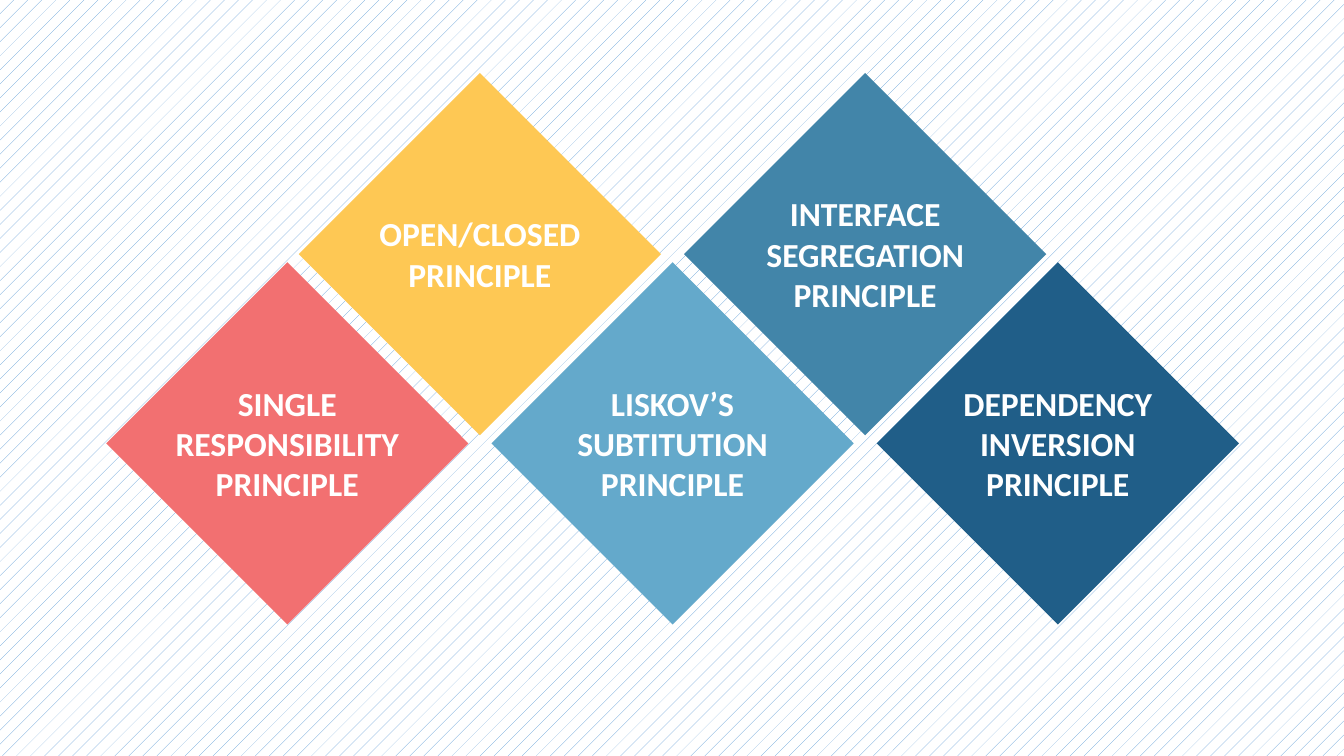
from pptx import Presentation
from pptx.dml.color import RGBColor
from pptx.enum.dml import MSO_PATTERN as Pattern
from pptx.enum.shapes import MSO_SHAPE as Shape
from pptx.enum.text import MSO_AUTO_SIZE as AutoSize, PP_ALIGN as Align
from pptx.util import Pt

COLORS = {
    "white": "FFFFFF",
    "hatch": "5B9BD5",
    "coral": "F27071",
    "yellow": "FEC854",
    "sky": "64A9CB",
    "steel": "4285A9",
    "navy": "205E88",
}

# Principle, colour and number of text lines, from left to right
PRINCIPLES = [
    ("SINGLE RESPONSIBILITY PRINCIPLE", "coral", 3),
    ("OPEN/CLOSED PRINCIPLE", "yellow", 2),
    ("LISKOV’S SUBTITUTION PRINCIPLE", "sky", 3),
    ("INTERFACE SEGREGATION PRINCIPLE", "steel", 3),
    ("DEPENDENCY INVERSION PRINCIPLE", "navy", 3),
]

# Zigzag layout, in points
FIRST_X, STEP_X = 205.2, 137.6
LOWER_Y, UPPER_Y = 316.7, 181.5
SIDE = 183
LABEL_WIDTH, LINE_HEIGHT, LABEL_PADDING = 177, 29, 7.2


class SlideBuilder:
    label_font = {"name": "Calibri", "size": Pt(24), "bold": True}

    def __init__(self, slide):
        self.slide = slide

    def color(self, name):
        return RGBColor.from_string(COLORS[name])

    def background(self, foreground, background):
        fill = self.slide.background.fill
        fill.patterned()
        fill.pattern = Pattern.PERCENT_5
        fill.fore_color.rgb = self.color(foreground)
        fill.back_color.rgb = self.color(background)

    def diamond(self, center_x, center_y, color):
        shape = self.slide.shapes.add_shape(
            Shape.RECTANGLE, Pt(center_x - SIDE / 2), Pt(center_y - SIDE / 2),
            Pt(SIDE), Pt(SIDE))
        shape.rotation = 225
        shape.shadow.inherit = False
        shape.fill.solid()
        shape.fill.fore_color.rgb = self.color(color)
        shape.line.fill.background()

    def label(self, center_x, center_y, text, lines):
        height = lines * LINE_HEIGHT + LABEL_PADDING
        shape = self.slide.shapes.add_textbox(
            Pt(center_x - LABEL_WIDTH / 2), Pt(center_y - height / 2),
            Pt(LABEL_WIDTH), Pt(height))
        frame = shape.text_frame
        frame.word_wrap = True
        frame.auto_size = AutoSize.SHAPE_TO_FIT_TEXT
        paragraph = frame.paragraphs[0]
        paragraph.alignment = Align.CENTER
        run = paragraph.add_run()
        run.text = text
        for attribute, value in self.label_font.items():
            setattr(run.font, attribute, value)
        run.font.color.rgb = self.color("white")


def main():
    presentation = Presentation()
    presentation.slide_width, presentation.slide_height = Pt(960), Pt(540)
    slide = presentation.slides.add_slide(presentation.slide_layouts[6])
    builder = SlideBuilder(slide)

    # Hatched background
    builder.background("hatch", "white")

    # Diamonds alternate between the lower and the upper row
    for index, (text, color, lines) in enumerate(PRINCIPLES):
        center_x = FIRST_X + index * STEP_X
        center_y = UPPER_Y if index % 2 else LOWER_Y
        builder.diamond(center_x, center_y, color)
        builder.label(center_x, center_y, text, lines)

    presentation.save("out.pptx")


if __name__ == "__main__":
    main()
